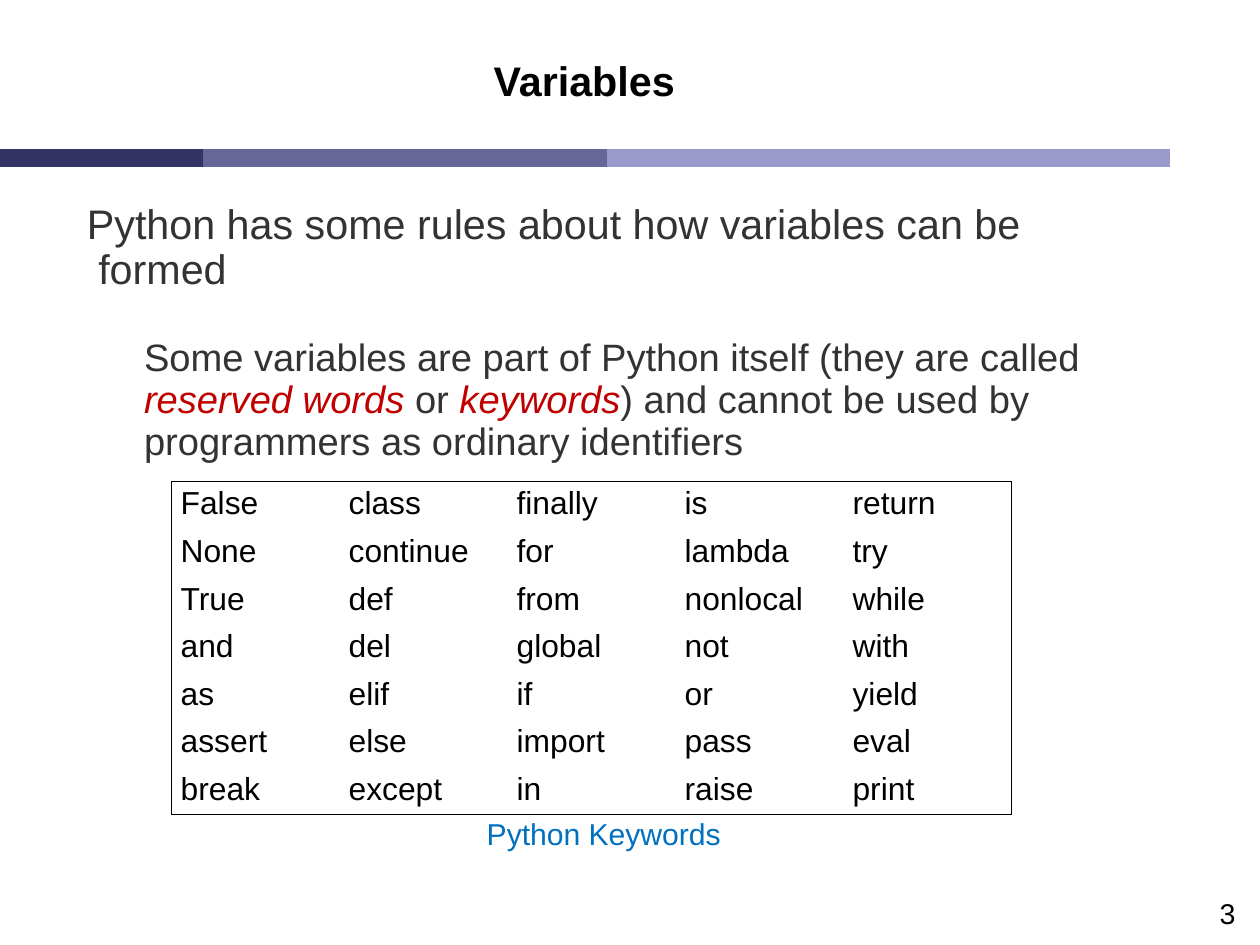
from dataclasses import dataclass

from lxml import etree
from pptx import Presentation
from pptx import util as u
from pptx.dml.color import RGBColor
from pptx.enum import shapes, text
from pptx.oxml.ns import qn


@dataclass(frozen=True)
class Theme:
    font: str = "Arial"
    black: str = "000000"
    body: str = "333333"
    emphasis: str = "C00000"
    caption: str = "0070C0"
    band: tuple = ("333366", "666699", "9999CC")
    heading_size: int = 26
    detail_size: int = 24
    keyword_size: int = 20
    caption_size: int = 19
    number_size: int = 18
    band_width: float = 11.34
    border_width: float = 0.45
    tight: float = 0.72


class SlideWriter:
    def __init__(self, slide, theme):
        self.slide = slide
        self.theme = theme

    def prepare_frame(self, frame, inset=(0, 0), wrap=True):
        frame.margin_left = frame.margin_right = u.Pt(inset[0])
        frame.margin_top = frame.margin_bottom = u.Pt(inset[1])
        frame.word_wrap = wrap
        return frame

    def add_run(self, paragraph, words, size, color, bold=False, italic=False):
        run = paragraph.add_run()
        run.text = words
        run.font.name = self.theme.font
        run.font.size = u.Pt(size)
        run.font.bold = bold
        run.font.italic = italic
        run.font.color.rgb = RGBColor.from_string(color)

    def title(self, words, box):
        heading = self.slide.shapes.title
        heading.left, heading.top, heading.width, heading.height = map(u.Pt, box)
        frame = self.prepare_frame(heading.text_frame)
        frame.auto_size = text.MSO_AUTO_SIZE.NONE
        frame.vertical_anchor = text.MSO_ANCHOR.MIDDLE
        paragraph = frame.paragraphs[0]
        paragraph.alignment = text.PP_ALIGN.CENTER
        paragraph.line_spacing = self.theme.tight
        self.add_run(paragraph, words, self.theme.heading_size, self.theme.black, bold=True)

    def text_box(self, box, inset=(0, 0), wrap=True):
        shape = self.slide.shapes.add_textbox(*map(u.Pt, box))
        return self.prepare_frame(shape.text_frame, inset, wrap)

    def band(self, stops, y):
        for start, end, color in zip(stops, stops[1:], self.theme.band):
            segment = self.slide.shapes.add_connector(
                shapes.MSO_CONNECTOR.STRAIGHT, *map(u.Pt, (start, y, end, y)))
            segment.line.color.rgb = RGBColor.from_string(color)
            segment.line.width = u.Pt(self.theme.band_width)
            etree.SubElement(segment._element.spPr, qn("a:effectLst"))

    def rules(self, lines, box):
        frame = self.text_box(box)
        for index, (indent, before, size, runs) in enumerate(lines):
            paragraph = frame.add_paragraph() if index else frame.paragraphs[0]
            paragraph._p.get_or_add_pPr().set("marL", str(u.Pt(indent)))
            paragraph.line_spacing = self.theme.tight
            paragraph.space_after = u.Pt(5.8)
            if before:
                paragraph.space_before = u.Pt(before)
            for words, emphasized in runs:
                color = self.theme.emphasis if emphasized else self.theme.body
                self.add_run(paragraph, words, size, color, italic=emphasized)

    def label(self, words, box, size, color, inset=(0, 0), wrap=True,
              alignment=text.PP_ALIGN.LEFT, spacing=1.0):
        paragraph = self.text_box(box, inset, wrap).paragraphs[0]
        paragraph.alignment = alignment
        paragraph.line_spacing = spacing
        self.add_run(paragraph, words, size, color)

    def border(self, cell, side):
        edge = etree.SubElement(cell._tc.get_or_add_tcPr(), qn(f"a:ln{side}"),
                                w=str(u.Pt(self.theme.border_width)))
        fill = etree.SubElement(edge, qn("a:solidFill"))
        etree.SubElement(fill, qn("a:srgbClr"), val=self.theme.black)

    def keyword_table(self, rows, left, top, column_width, row_height):
        row_count, column_count = len(rows), len(rows[0])
        keywords = self.slide.shapes.add_table(
            row_count, column_count, u.Pt(left), u.Pt(top),
            u.Pt(column_width * column_count), u.Pt(row_height * row_count)).table
        keywords.first_row = keywords.horz_banding = False
        style = keywords._tbl.tblPr.find(qn("a:tableStyleId"))
        style.text = "{2D5ABB26-0587-4C30-8999-92F81FD0307C}"
        for column in keywords.columns:
            column.width = u.Pt(column_width)
        for r, row in enumerate(rows):
            keywords.rows[r].height = u.Pt(row_height)
            for c, keyword in enumerate(row):
                cell = keywords.cell(r, c)
                cell.margin_left = cell.margin_right = u.Pt(5.8)
                cell.margin_top = cell.margin_bottom = u.Pt(3)
                self.add_run(cell.text_frame.paragraphs[0], keyword,
                             self.theme.keyword_size, self.theme.black)
                outer = {"L": c == 0, "R": c == column_count - 1,
                         "T": r == 0, "B": r == row_count - 1}
                for side, visible in outer.items():
                    if visible:
                        self.border(cell, side)
                cell.fill.background()


KEYWORDS = [
    "False class finally is return",
    "None continue for lambda try",
    "True def from nonlocal while",
    "and del global not with",
    "as elif if or yield",
    "assert else import pass eval",
    "break except in raise print",
]


def main():
    theme = Theme()
    deck = Presentation()
    deck.slide_width, deck.slide_height = u.Pt(793.7), u.Pt(595.28)
    writer = SlideWriter(deck.slides.add_slide(deck.slide_layouts[5]), theme)

    writer.band((0, 128, 382.5, 737), 99.36)
    writer.title("Variables", (14.2, 23.4, 707.8, 61.2))

    heading, detail = theme.heading_size, theme.detail_size
    writer.rules([
        (0, 0, heading, [("Python has some rules about how variables can be", False)]),
        (0, 0, heading, [(" formed", False)]),
        (36, 27.7, detail,
         [("Some variables are part of Python itself (they are called", False)]),
        (36, 0, detail, [("reserved words ", True), ("or ", False), ("keywords", True),
                         (") and cannot be used by", False)]),
        (36, 0, detail, [("programmers as ordinary identifiers", False)]),
    ], (54.7, 133.2, 684.7, 414))

    writer.keyword_table([row.split() for row in KEYWORDS], 108, 303.2, 105.84, 29.95)
    writer.label("Python Keywords", (299.5, 510.3, 162, 30.2), theme.caption_size,
                 theme.caption, inset=(7.2, 3.6), wrap=False)
    writer.label("3", (720, 566.6, 58.3, 28), theme.number_size, theme.black,
                 alignment=text.PP_ALIGN.RIGHT, spacing=0.93)
    deck.save("out.pptx")


if __name__ == "__main__":
    main()
